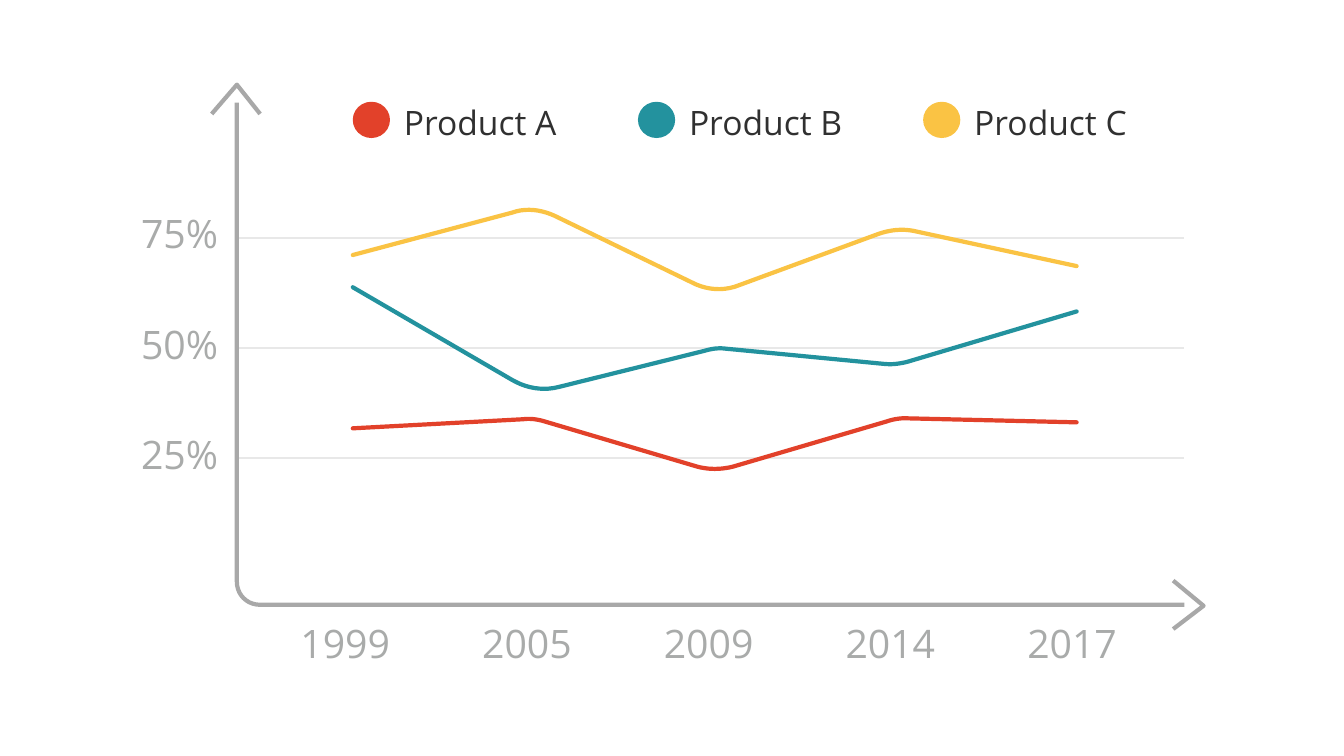
import pptx
import pptx.dml.color
import pptx.enum.shapes
import pptx.enum.text
import pptx.oxml.ns
import pptx.util
from lxml import etree

Pt = pptx.util.Pt
RGBColor = pptx.dml.color.RGBColor
qn = pptx.oxml.ns.qn

GRID = RGBColor(0xE8, 0xE8, 0xE8)
AXIS = RGBColor(0xA8, 0xA8, 0xA8)
LABEL = RGBColor(0xA9, 0xAB, 0xAA)
INK = RGBColor(0x30, 0x30, 0x30)
RED = RGBColor(0xE2, 0x41, 0x2A)
TEAL = RGBColor(0x23, 0x92, 0x9E)
YELLOW = RGBColor(0xFA, 0xC3, 0x44)

AXIS_X, AXIS_END, AXIS_Y = 169.2, 846, 432

# Each trend: start, then four Bezier points per rounded bend, then end.
TRENDS = [
    ("Product A", RED, (252, 306), [
        [(373.7, 299.5), (378.7, 298.8), (383.8, 299.5), (388.8, 301)],
        [(498.2, 333.4), (506.2, 335.5), (514.8, 335.5), (523.4, 333.4)],
        [(633.6, 301), (637.9, 299.5), (642.2, 298.8), (646.6, 298.8)],
    ], (769, 301.7)),
    ("Product B", TEAL, (252, 205.2), [
        [(365.8, 271.4), (375.8, 277.2), (387.4, 279.4), (398.9, 276.5)],
        [(503.3, 250.6), (508.3, 249.1), (513.4, 248.4), (518.4, 249.1)],
        [(630.7, 259.9), (637.2, 260.6), (642.2, 259.9), (648, 258.5)],
    ], (769, 222.5)),
    ("Product C", YELLOW, (252, 182.2), [
        [(365.8, 151.9), (375.8, 148.3), (386.6, 149.8), (396, 154.1)],
        [(493.9, 201.6), (504.7, 207.4), (517, 208.1), (527.8, 203.8)],
        [(627.8, 167), (635.8, 164.2), (644.4, 163.4), (652.3, 164.9)],
    ], (769, 190.1)),
]


def bend_points(bend, steps=10):
    """Sample a cubic Bezier given by its four control points."""
    for step in range(steps + 1):
        t = step / steps
        weights = ((1 - t) ** 3, 3 * t * (1 - t) ** 2, 3 * t * t * (1 - t), t ** 3)
        yield tuple(sum(w * point[axis] for w, point in zip(weights, bend)) for axis in (0, 1))


def rounded(start, bends, end):
    return [start, *(point for bend in bends for point in bend_points(bend)), end]


class ChartSlide:
    font = "Open Sans"

    def __init__(self, slide):
        self.shapes = slide.shapes

    def gridline(self, y):
        rule = self.shapes.add_connector(
            pptx.enum.shapes.MSO_CONNECTOR.STRAIGHT, Pt(AXIS_X), Pt(y), Pt(AXIS_END), Pt(y))
        rule.line.color.rgb = GRID
        rule.line.width = Pt(1.62)
        etree.SubElement(rule.element.spPr, qn("a:effectLst"))

    def stroke(self, points, color, cap="flat"):
        """Draw an open, unfilled outline through the points."""
        corners = [(Pt(x), Pt(y)) for x, y in points]
        builder = self.shapes.build_freeform(*corners[0])
        builder.add_line_segments(corners[1:], close=False)
        outline = builder.convert_to_shape()
        outline.shadow.inherit = False
        outline.fill.background()
        outline.line.color.rgb = color
        outline.line.width = Pt(3)
        outline.element.spPr.find(qn("a:ln")).set("cap", cap)

    def dot(self, left, top, width, height, color):
        marker = self.shapes.add_shape(
            pptx.enum.shapes.MSO_SHAPE.OVAL, Pt(left), Pt(top), Pt(width), Pt(height))
        marker.shadow.inherit = False
        marker.fill.solid()
        marker.fill.fore_color.rgb = color
        marker.line.fill.background()

    def text(self, wording, left, top, width, height, size, color):
        frame = self.shapes.add_textbox(Pt(left), Pt(top), Pt(width), Pt(height)).text_frame
        frame_format = {
            "margin_left": 0, "margin_right": 0, "margin_top": 0, "margin_bottom": 0,
            "word_wrap": True, "vertical_anchor": pptx.enum.text.MSO_ANCHOR.TOP,
        }
        for name, value in frame_format.items():
            setattr(frame, name, value)
        run = frame.paragraphs[0].add_run()
        run.text = wording
        for name, value in {"name": self.font, "size": Pt(size)}.items():
            setattr(run.font, name, value)
        run.font.color.rgb = color


def main():
    deck = pptx.Presentation()
    deck.slide_width, deck.slide_height = Pt(960), Pt(540)
    chart = ChartSlide(deck.slides.add_slide(deck.slide_layouts[6]))

    for row in range(3):
        chart.gridline(326.9 - 78.5 * row)

    origin_bend = [(AXIS_X, 415.4), (AXIS_X, 424.8), (176.4, AXIS_Y), (185.8, AXIS_Y)]
    chart.stroke(rounded((AXIS_X, 73.4), [origin_bend], (AXIS_END, AXIS_Y)), AXIS)
    chart.stroke([(151.2, 81.4), (AXIS_X, 60.5), (185.8, 81.4)], AXIS)
    chart.stroke([(838, 414.7), (859.7, 432.7), (838, 449.3)], AXIS)

    for column, year in enumerate(["1999", "2005", "2009", "2014", "2017"]):
        chart.text(year, 214.6 + 129.8 * column, 442.1, 80.6, 46.8, 28, LABEL)
    for row, share in enumerate(["25%", "50%", "75%"]):
        chart.text(share, 100.8, 307.7 - 79.2 * row, 71.3, 46.8, 28, LABEL)

    for _, color, start, bends, end in reversed(TRENDS):
        chart.stroke(rounded(start, bends, end), color, cap="rnd")
    for column, (product, color, *_) in enumerate(TRENDS):
        left = 252 + 203.7 * column
        chart.dot(left, 72.7, 26.6, 25.9, color)
        chart.text(product, left + 36.5, 72.7, 124.2, 39.6, 24, INK)

    deck.save("out.pptx")


if __name__ == "__main__":
    main()
